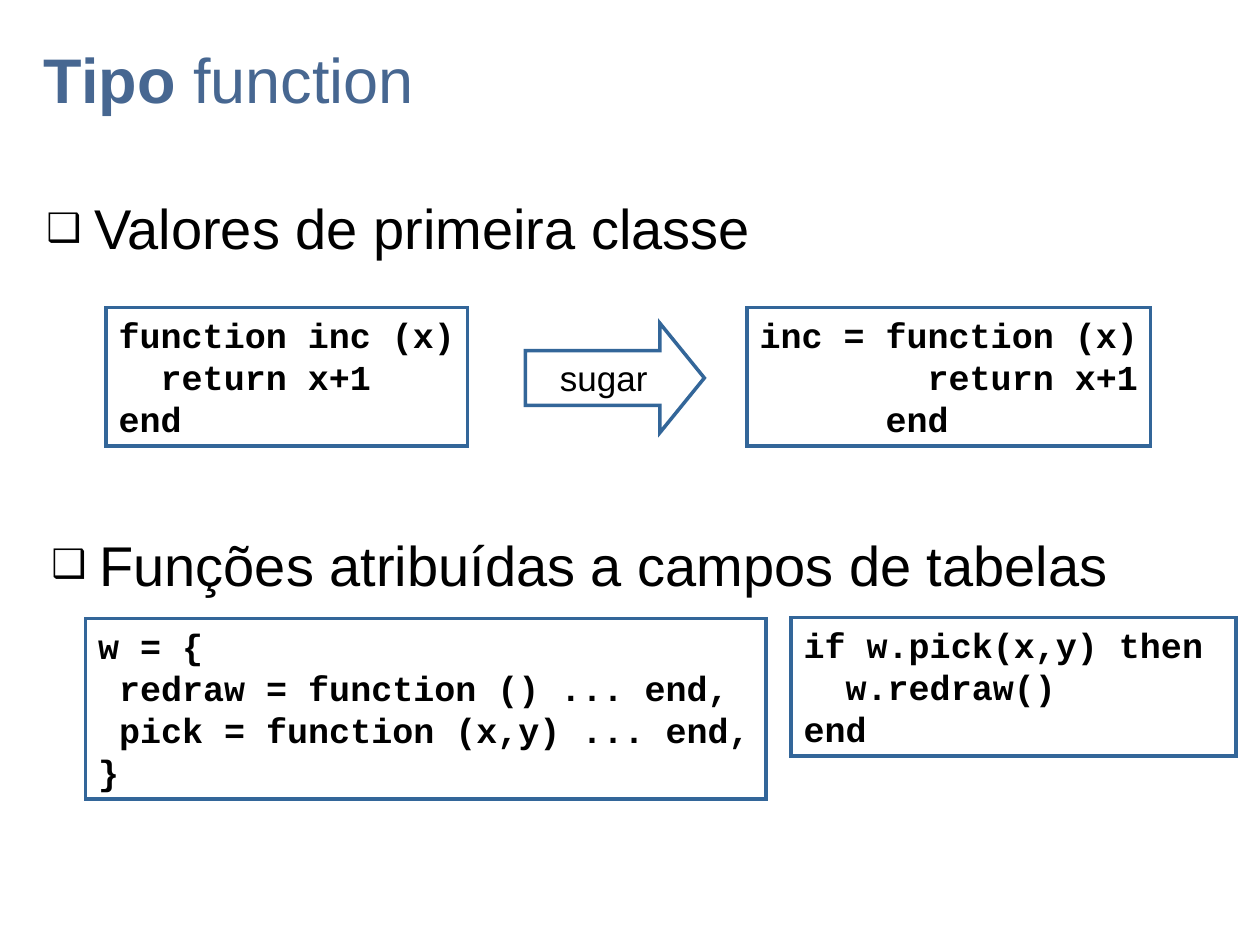
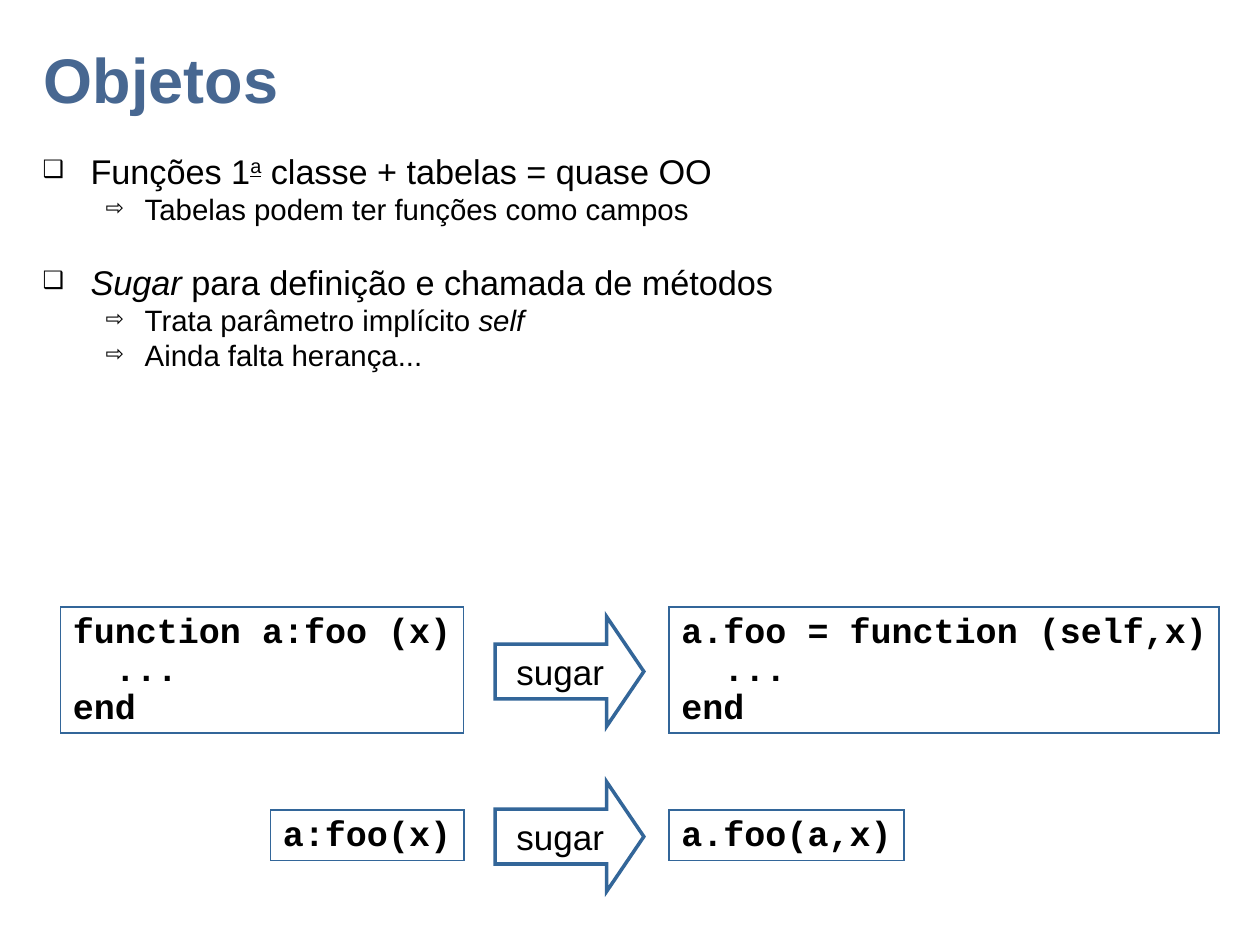
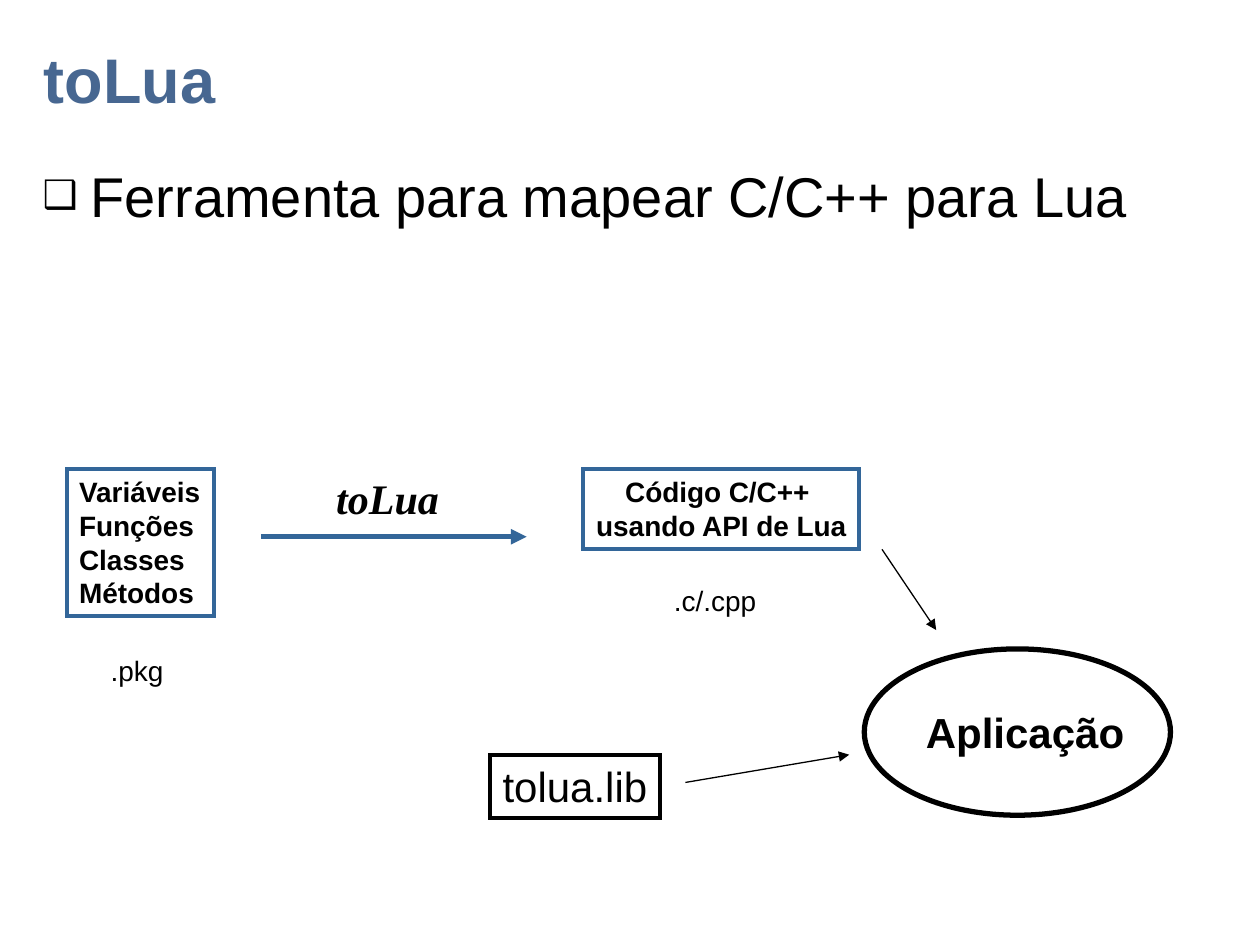
from lxml import etree
from pptx import Presentation, util as u
from pptx.dml.color import RGBColor
from pptx.enum import shapes, text
from pptx.oxml.ns import qn

# ---- Shared look ----
WIDTH, HEIGHT = 10, 7.5
BLUE, BLACK, TITLE_BLUE = "336699", "000000", "476791"
BODY = dict(name="Arial", size=32, color=BLACK)
TITLE = dict(BODY, size=36, bold=True, color=TITLE_BLUE)
CODE = dict(name="Courier New", size=20, bold=True, color=BLACK)
SUGAR = dict(BODY, size=20)
SMALL = dict(BODY, size=16)
SMALL_BOLD = dict(SMALL, bold=True)
LARGE = dict(BODY, size=24)
LARGE_BOLD = dict(LARGE, bold=True)
TOOL = dict(LARGE_BOLD, name="Times New Roman", italic=True)
PLAIN, ITALIC = {}, {"italic": True}

# Code boxes follow their text: 20 pt monospaced glyphs plus padding
GLYPH, LINE, PAD_X, PAD_Y = 1 / 6, 1 / 3, 0.2, 0.1
ARROW_HEIGHT = 0.87

# Bullet levels: left margin, hanging indent, sign, size in percent
BULLETS = [(0.38, -0.38, "❑", 70), (0.81, -0.31, "⇨", 75)]

# ---- Content ----
TITLES = [
    [("Tipo ", PLAIN), ("function", {"bold": False})],
    [("Objetos", PLAIN)],
    [("toLua", PLAIN)],
]

# Bullet lists: slide, area, line spacing, items (level, size, space before, runs)
LISTS = [
    (0, (0.27, 1.49, 9.31, 0.71), None,
     [(0, 32, 0, ["Valores de primeira classe"])]),
    (0, (0.31, 4.16, 9.31, 2.78), None,
     [(0, 32, 0, ["Funções atribuídas a campos de tabelas"])]),
    (1, (0.24, 1.23, 9.49, 1.84), 0.7, [
        (0, 19.6, 0, ["Funções 1", ("a", {"underline": True, "baseline": 30}),
                      " classe + tabelas = quase OO"]),
        (1, 16.8, 6, ["Tabelas podem ter funções como campos"]),
        (0, 19.6, 27, [("Sugar", ITALIC), " para definição e chamada de métodos"]),
        (1, 16.8, 6, ["Trata parâmetro implícito ", ("self", ITALIC)]),
        (1, 16.8, 6, ["Ainda falta herança..."]),
    ]),
    (2, (0.24, 1.23, 9.49, 5.26), None,
     [(0, 32, 0, ["Ferramenta para mapear C/C++ para Lua"])]),
]

# Sugar rows: slide, middle, code before, code after
SUGAR_ROWS = [
    (0, 2.99, ["function inc (x)", "  return x+1", "end"],
     ["inc = function (x)", "        return x+1", "      end"]),
    (1, 5.32, ["function a:foo (x)", "  ...", "end"],
     ["a.foo = function (self,x)", "  ...", "end"]),
    (1, 6.63, ["a:foo(x)"], ["a.foo(a,x)"]),
]
# Per slide: right edge of the first code, arrow left and width, left edge of
# the second code, head share, outline, line spacing
SUGAR_GRIDS = [
    dict(before=3.71, arrow=4.17, span=1.42, after=5.93, head=0.406, outline=2, spacing=1),
    dict(before=3.68, arrow=3.93, span=1.18, after=5.31, head=0.339, outline=1, spacing=0.9),
]

# Table field examples: left, top, width, code
FIELD_CODES = [
    (0.68, 4.91, 5.4, ["w = {", " redraw = function () ... end,",
                       " pick = function (x,y) ... end,", "}"]),
    (6.28, 4.9, 3.53, ["if w.pick(x,y) then", "  w.redraw()", "end"]),
]

# toLua flow: area, lines, font, outline colour (None for a label), centred
FLOW_PARTS = [
    ((0.53, 3.72, 1.17, 1.17), ["Variáveis", "Funções", "Classes", "Métodos"],
     SMALL_BOLD, BLUE, False),
    ((2.57, 3.7, 1.01, 0.5), ["toLua"], TOOL, None, False),
    ((0.78, 5.14, 0.62, 0.37), [".pkg"], SMALL, None, False),
    ((4.63, 3.72, 2.19, 0.64), ["Código C/C++ ", "usando API de Lua"],
     SMALL_BOLD, BLUE, True),
    ((5.25, 4.58, 0.85, 0.37), [".c/.cpp"], SMALL, None, False),
    ((7.25, 5.56, 1.77, 0.5), ["Aplicação"], LARGE_BOLD, None, False),
    ((3.89, 5.99, 1.35, 0.5), ["tolua.lib"], LARGE, BLACK, False),
]
APPLICATION = (6.86, 5.15, 2.43, 1.32)
# Flow arrows: start, end, colour, width
FLOW_ARROWS = [
    ((2.07, 4.26), (4.18, 4.26), BLUE, 3),
    ((7, 4.36), (7.43, 5), BLACK, 0.75),
    ((5.44, 6.21), (6.74, 5.99), BLACK, 0.75),
]


# ---- Helpers ----
def rgb(value):
    return RGBColor.from_string(value)


def inches(values):
    return [u.Inches(value) for value in values]


def add_run(paragraph, words, style):
    run = paragraph.add_run()
    run.text = words
    for key, value in style.items():
        if key == "color":
            run.font.color.rgb = rgb(value)
        elif key == "baseline":
            run._r.get_or_add_rPr().set("baseline", str(value * 1000))
        else:
            setattr(run.font, key, u.Pt(value) if key == "size" else value)


def paragraphs(frame, count):
    return [frame.paragraphs[0]] + [frame.add_paragraph() for _ in range(count - 1)]


def write_lines(shape, lines, style, centred=False, middle=False, spacing=1):
    # The free inset beside the text leaves every line room to stay whole
    frame = shape.text_frame
    settings = dict(
        word_wrap=True,
        auto_size=text.MSO_AUTO_SIZE.NONE,
        vertical_anchor=text.MSO_ANCHOR.MIDDLE if middle else text.MSO_ANCHOR.TOP,
        margin_left=u.Inches(0 if centred else 0.1),
        margin_right=0,
    )
    for key, value in settings.items():
        setattr(frame, key, value)
    for paragraph, words in zip(paragraphs(frame, len(lines)), lines):
        paragraph.alignment = text.PP_ALIGN.CENTER if centred else text.PP_ALIGN.LEFT
        paragraph.line_spacing = spacing
        add_run(paragraph, words, style)


def add_outline(slide, kind, area, color, width):
    shape = slide.shapes.add_shape(kind, *inches(area))
    shape.shadow.inherit = False
    shape.fill.background()
    shape.line.color.rgb = rgb(color)
    shape.line.width = u.Pt(width)
    etree.SubElement(shape.line._get_or_add_ln(), qn("a:miter"), lim="800000")
    return shape


def add_title(slide, runs):
    frame = slide.shapes.add_textbox(*inches((0.25, 0.19, 9.43, 0.86))).text_frame
    frame.word_wrap = True
    frame.vertical_anchor = text.MSO_ANCHOR.MIDDLE
    for words, style in runs:
        add_run(frame.paragraphs[0], words, {**TITLE, **style})


def add_bullet(paragraph, level):
    margin, indent, sign, percent = BULLETS[level]
    paragraph.level = level
    props = paragraph._p.get_or_add_pPr()
    props.set("marL", str(u.Inches(margin)))
    props.set("indent", str(u.Inches(indent)))
    color = etree.SubElement(props, qn("a:buClr"))
    etree.SubElement(color, qn("a:srgbClr"), val=BLACK)
    etree.SubElement(props, qn("a:buSzPct"), val=str(percent * 1000))
    etree.SubElement(props, qn("a:buFont"), typeface=BODY["name"])
    etree.SubElement(props, qn("a:buChar"), char=sign)


def add_list(slide, area, spacing, items):
    frame = slide.shapes.add_textbox(*inches(area)).text_frame
    frame.word_wrap = True
    for paragraph, item in zip(paragraphs(frame, len(items)), items):
        level, size, before, runs = item
        add_bullet(paragraph, level)
        paragraph.line_spacing = spacing
        paragraph.space_before = u.Pt(before)
        for run in runs:
            words, style = (run, PLAIN) if isinstance(run, str) else run
            add_run(paragraph, words, {**BODY, "size": size, **style})


def code_size(lines, spacing=1):
    return max(map(len, lines)) * GLYPH + PAD_X, len(lines) * LINE * spacing + PAD_Y


def add_code(slide, area, lines, outline=2, spacing=1):
    box = add_outline(slide, shapes.MSO_SHAPE.RECTANGLE, area, BLUE, outline)
    write_lines(box, lines, CODE, spacing=spacing)


def add_sugar_row(slide, middle, before, after, grid):
    for lines, is_before in ((before, True), (after, False)):
        width, height = code_size(lines, grid["spacing"])
        left = grid["before"] - width if is_before else grid["after"]
        add_code(slide, (left, middle - height / 2, width, height), lines,
                 grid["outline"], grid["spacing"])
    area = (grid["arrow"], middle - ARROW_HEIGHT / 2 + 0.01, grid["span"], ARROW_HEIGHT)
    arrow = add_outline(slide, shapes.MSO_SHAPE.RIGHT_ARROW, area, BLUE, 2)
    arrow.adjustments[1] = grid["head"]
    write_lines(arrow, ["sugar"], SUGAR, centred=True, middle=True)


def add_flow_part(slide, area, lines, style, color, centred):
    if color:
        part = add_outline(slide, shapes.MSO_SHAPE.RECTANGLE, area, color, 2.25)
    else:
        part = slide.shapes.add_textbox(*inches(area))
    write_lines(part, lines, style, centred)


def add_flow_arrow(slide, start, end, color, width):
    arrow = slide.shapes.add_connector(shapes.MSO_CONNECTOR.STRAIGHT, *inches(start + end))
    arrow.line.color.rgb = rgb(color)
    arrow.line.width = u.Pt(width)
    etree.SubElement(arrow.line._get_or_add_ln(), qn("a:tailEnd"), type="triangle")
    etree.SubElement(arrow._element.spPr, qn("a:effectLst"))


# ---- Slides ----
def main():
    deck = Presentation()
    deck.slide_width, deck.slide_height = inches((WIDTH, HEIGHT))
    slides = [deck.slides.add_slide(deck.slide_layouts[6]) for _ in TITLES]
    for slide, runs in zip(slides, TITLES):
        add_title(slide, runs)
    for number, *parts in LISTS:
        add_list(slides[number], *parts)
    for number, *parts in SUGAR_ROWS:
        add_sugar_row(slides[number], *parts, SUGAR_GRIDS[number])

    # Functions kept in table fields
    for left, top, width, lines in FIELD_CODES:
        add_code(slides[0], (left, top, width, code_size(lines)[1]), lines)

    # From the package file to the application
    flow = slides[2]
    add_outline(flow, shapes.MSO_SHAPE.OVAL, APPLICATION, BLACK, 3)
    for part in FLOW_PARTS:
        add_flow_part(flow, *part)
    for arrow in FLOW_ARROWS:
        add_flow_arrow(flow, *arrow)
    deck.save("out.pptx")


if __name__ == "__main__":
    main()
